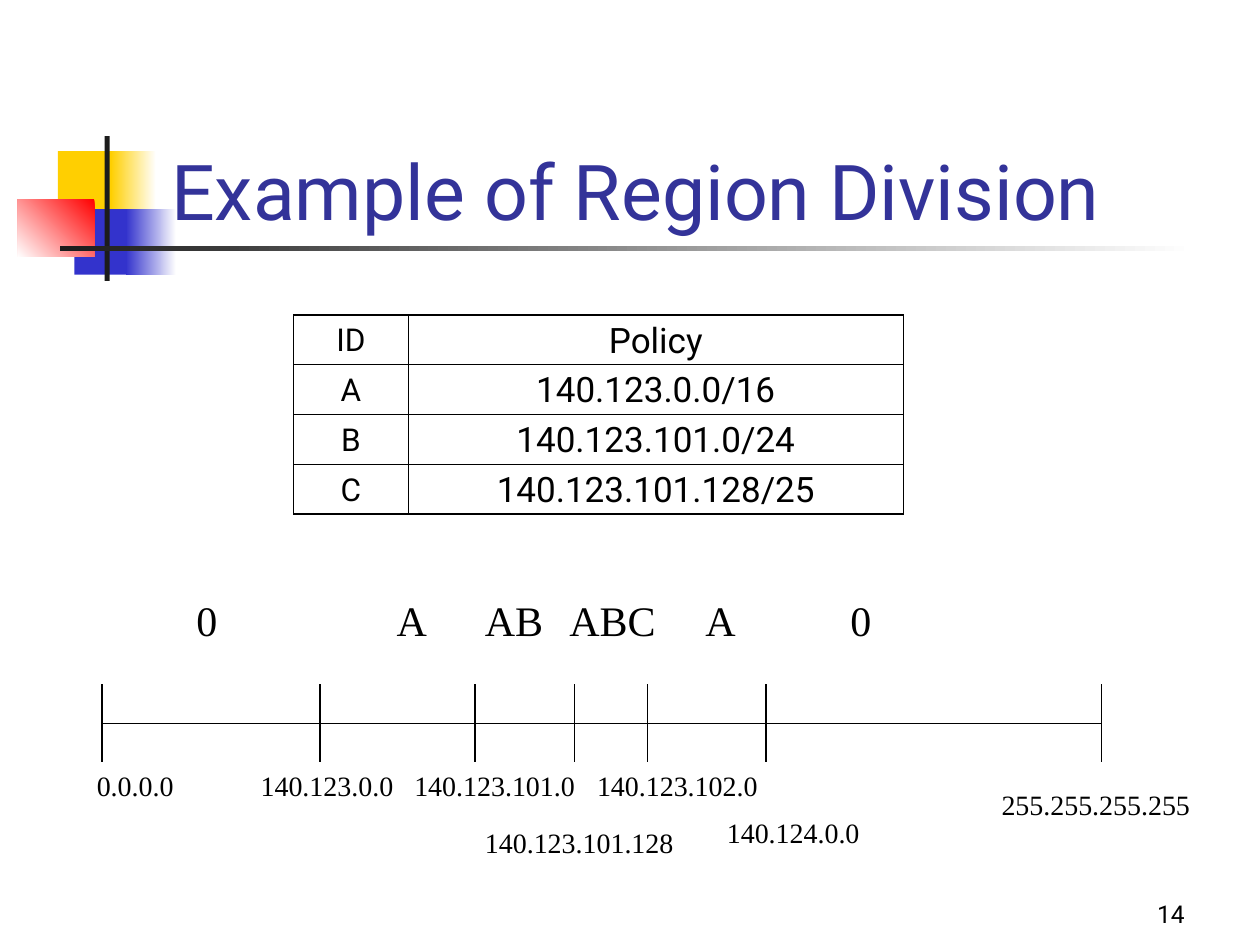
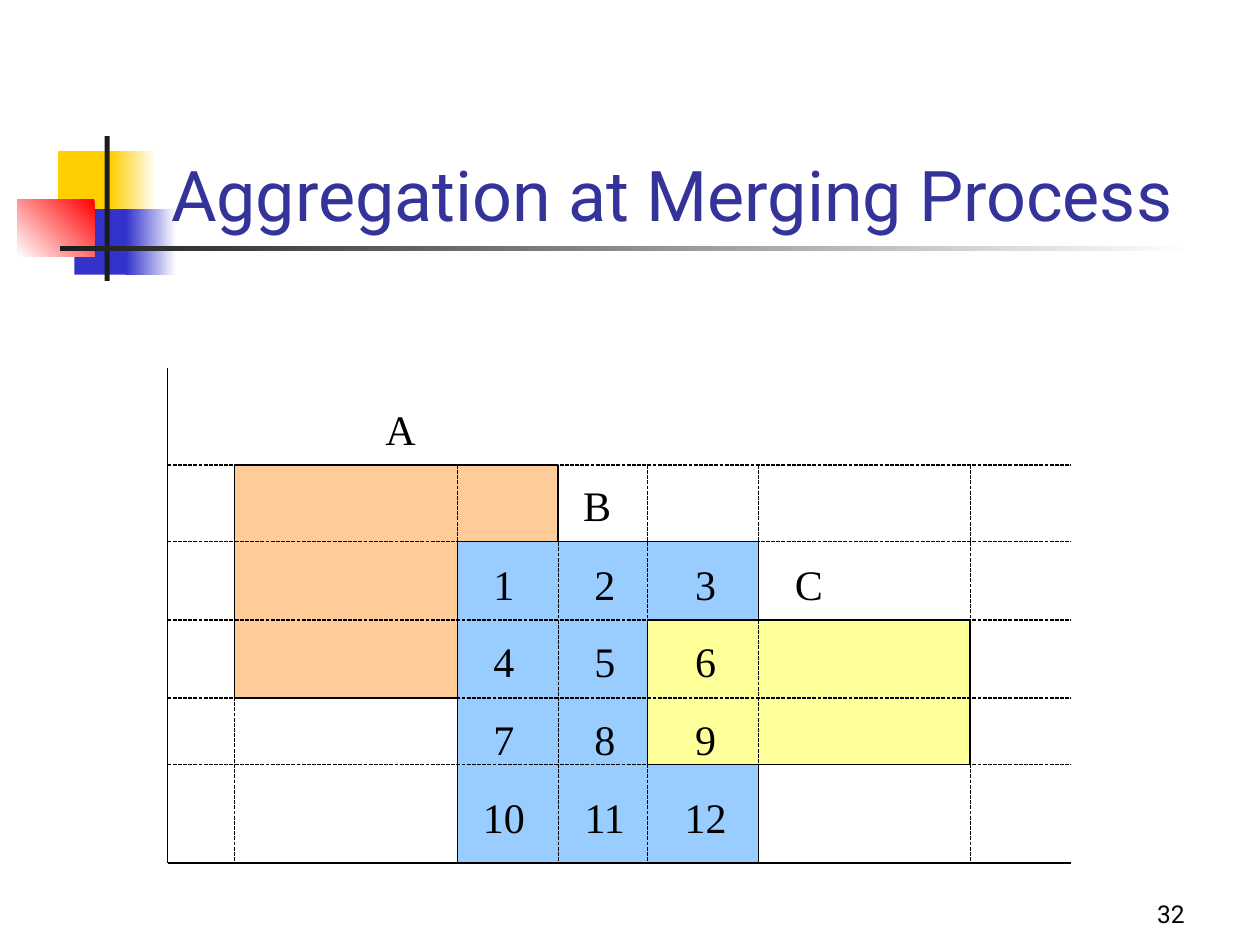
from dataclasses import dataclass

from lxml import etree
from pptx import Presentation
from pptx.dml.color import RGBColor
from pptx.enum.dml import MSO_LINE
from pptx.enum.shapes import MSO_CONNECTOR, MSO_SHAPE
from pptx.enum.text import MSO_ANCHOR, PP_ALIGN
from pptx.oxml.ns import qn
from pptx.util import Inches, Pt

RECTANGLE = MSO_SHAPE.RECTANGLE
STRAIGHT = MSO_CONNECTOR.STRAIGHT
DASHED = MSO_LINE.SQUARE_DOT
LEFT, CENTER, RIGHT = PP_ALIGN.LEFT, PP_ALIGN.CENTER, PP_ALIGN.RIGHT
TOP, MIDDLE, BOTTOM = MSO_ANCHOR.TOP, MSO_ANCHOR.MIDDLE, MSO_ANCHOR.BOTTOM


@dataclass(frozen=True)
class Theme:
    sans: str = "Roboto"
    serif: str = "Times New Roman"
    ink: str = "000000"
    paper: str = "FFFFFF"
    title: str = "333399"
    yellow: str = "FFCF01"
    blue: str = "3333CC"
    red: str = "FF0000"
    bar: str = "1C1C1C"
    area_a: str = "FFCC99"
    area_b: str = "99CCFF"
    area_c: str = "FFFF99"
    label_size: int = 24
    address_size: int = 16
    id_size: int = 18
    policy_size: int = 20
    number_size: int = 14
    line_width: float = 0.75


THEME = Theme()


# Shared helpers

def color(code):
    return RGBColor.from_string(code)


def add_run(paragraph, text, size, font, code=THEME.ink):
    run = paragraph.add_run()
    run.text = text
    run.font.size = Pt(size)
    run.font.name = font
    run.font.color.rgb = color(code)


def add_text(slide, box, text, size, font=THEME.serif, code=THEME.ink,
             align=LEFT, anchor=TOP):
    frame = slide.shapes.add_textbox(*map(Inches, box)).text_frame
    frame.word_wrap = True
    frame.vertical_anchor = anchor
    paragraph = frame.paragraphs[0]
    paragraph.alignment = align
    add_run(paragraph, text, size, font, code)


def add_rectangle(slide, box, fill, fade=None, angle=180, outlined=False):
    """Fill with one colour, or run from fill to fade along the angle."""
    shape = slide.shapes.add_shape(RECTANGLE, *map(Inches, box))
    shape.shadow.inherit = False
    if fade:
        shape.fill.gradient()
        shape.fill.gradient_angle = angle
        for stop, code in zip(shape.fill.gradient_stops, (fill, fade)):
            stop.color.rgb = color(code)
    else:
        shape.fill.solid()
        shape.fill.fore_color.rgb = color(fill)
    if outlined:
        shape.line.color.rgb = color(THEME.ink)
        shape.line.width = Pt(THEME.line_width)
    else:
        shape.line.fill.background()


def add_line(slide, x1, y1, x2, y2, dash=None):
    line = slide.shapes.add_connector(STRAIGHT, *map(Inches, (x1, y1, x2, y2)))
    line.line.color.rgb = color(THEME.ink)
    line.line.width = Pt(THEME.line_width)
    if dash:
        line.line.dash_style = dash
    etree.SubElement(line._element.spPr, qn("a:effectLst"))


def set_borders(cell):
    properties = cell._tc.get_or_add_tcPr()
    for position, side in enumerate(("a:lnL", "a:lnR", "a:lnT", "a:lnB")):
        border = etree.Element(qn(side), w=str(Pt(THEME.line_width)))
        fill = etree.SubElement(border, qn("a:solidFill"))
        etree.SubElement(fill, qn("a:srgbClr"), val=THEME.ink)
        properties.insert(position, border)


# Slide frame: ornament, title and number

def add_ornament(slide, left, top):
    add_rectangle(slide, (left + 0.32, top + 0.12, 0.48, 0.52), THEME.yellow)
    add_rectangle(slide, (left + 0.74, top + 0.12, 0.36, 0.52), THEME.paper, THEME.yellow)
    add_rectangle(slide, (left + 0.45, top + 0.58, 0.46, 0.52), THEME.blue)
    add_rectangle(slide, (left + 0.86, top + 0.58, 0.4, 0.52), THEME.paper, THEME.blue)
    add_rectangle(slide, (left, top + 0.5, 0.61, 0.46), THEME.red, THEME.paper, 225)
    add_rectangle(slide, (left + 0.69, top, 0.04, 1.15), THEME.bar)
    add_rectangle(slide, (left + 0.34, top + 0.87, 9, 0.04), THEME.paper, THEME.bar)


def add_framed_slide(presentation, title, title_size, number):
    slide = presentation.slides.add_slide(presentation.slide_layouts[6])
    add_ornament(slide, 0.14, 1.08)
    add_text(slide, (1.26, 0.67, 8.52, 1.25), title, title_size, THEME.sans,
             THEME.title, anchor=BOTTOM)
    add_text(slide, (7.42, 6.92, 2.08, 0.5), number, THEME.number_size, THEME.sans,
             align=RIGHT, anchor=BOTTOM)
    return slide


# Region division

def add_policy_table(slide, left, top, height):
    rows = [("ID", "Policy"), ("A", "140.123.0.0/16"),
            ("B", "140.123.101.0/24"), ("C", "140.123.101.128/25")]
    widths = (0.91, 3.93)
    sizes = (THEME.id_size, THEME.policy_size)
    table = slide.shapes.add_table(
        len(rows), len(widths), Inches(left), Inches(top),
        Inches(sum(widths)), Inches(height)).table
    table.first_row = table.horz_banding = False
    for column, width in zip(table.columns, widths):
        column.width = Inches(width)
    for row_index, row in enumerate(rows):
        for column_index, text in enumerate(row):
            cell = table.cell(row_index, column_index)
            cell.fill.solid()
            cell.fill.fore_color.rgb = color(THEME.paper)
            cell.vertical_anchor = MIDDLE
            cell.margin_top, cell.margin_bottom = Inches(0.03), Inches(0.01)
            paragraph = cell.text_frame.paragraphs[0]
            paragraph.alignment = CENTER
            add_run(paragraph, text, sizes[column_index], THEME.sans)
            set_borders(cell)


def add_address_line(slide, left, top, width):
    # Axis and region boundaries
    add_line(slide, left, top + 1.07, left + width, top + 1.07)
    for x in (0, 1.73, 2.96, 3.75, 4.33, 5.27, width):
        add_line(slide, left + x, top + 0.76, left + x, top + 1.38)

    # Policies that hold in each region
    for text, x in (("0", 0.65), ("A", 2.24), ("AB", 2.94),
                    ("ABC", 3.61), ("A", 4.69), ("0", 5.84)):
        add_text(slide, (left + x, top, 0.26 + 0.22 * len(text), 0.5), text,
                 THEME.label_size)

    # Boundary addresses
    for text, x, y in (("0.0.0.0", -0.14, 1.38), ("140.123.0.0", 1.16, 1.38),
                       ("140.123.101.0", 2.38, 1.38), ("140.123.101.128", 2.94, 1.83),
                       ("140.123.102.0", 3.83, 1.38), ("140.124.0.0", 4.86, 1.75),
                       ("255.255.255.255", 7.04, 1.53)):
        add_text(slide, (left + x, top + y, 0.1 + 0.11 * len(text), 0.37),
                 text, THEME.address_size)


# Merging process

def add_merging_grid(slide, left, top, width, height):
    columns = [left + x for x in (0.53, 2.3, 3.1, 3.81, 4.69, 6.37)]
    rows = [top + y for y in (0.77, 1.38, 2, 2.62, 3.15, height)]
    bottom = rows[-1]

    # Axes
    add_line(slide, left, top, left, bottom)
    add_line(slide, left, bottom, left + width, bottom)

    # Policy areas: first and last column line, first and last row line
    for fill, x1, x2, y1, y2 in ((THEME.area_a, 0, 2, 0, 3),
                                 (THEME.area_b, 1, 4, 1, 5),
                                 (THEME.area_c, 3, 5, 2, 4)):
        box = (columns[x1], rows[y1], columns[x2] - columns[x1], rows[y2] - rows[y1])
        add_rectangle(slide, box, fill, outlined=True)

    # Dashed grid
    for y in rows[:-1]:
        add_line(slide, left, y, left + width, y, DASHED)
    for x in columns:
        add_line(slide, x, rows[0], x, bottom, DASHED)

    # Cell numbers and area names, centred on x
    labels = [(str(index + 1), 2.67 + 0.8 * (index % 3), 1.46 + 1.85 / 3 * (index // 3))
              for index in range(12)]
    labels += [("A", 1.85, 0.23), ("B", 3.41, 0.84), ("C", 5.09, 1.46)]
    for text, x, y in labels:
        add_text(slide, (left + x - 0.28, top + y, 0.56, 0.5), text,
                 THEME.label_size, align=CENTER)


def main():
    presentation = Presentation()
    presentation.slide_width = Inches(10)
    presentation.slide_height = Inches(7.5)

    division = add_framed_slide(presentation, "Example of Region Division", 44, "14")
    add_address_line(division, 0.81, 4.67, 7.93)
    add_policy_table(division, 2.33, 2.5, 1.58)

    merging = add_framed_slide(presentation, "Aggregation at Merging Process", 40, "32")
    add_merging_grid(merging, 1.33, 2.92, 7.17, 3.93)

    presentation.save("out.pptx")


if __name__ == "__main__":
    main()
